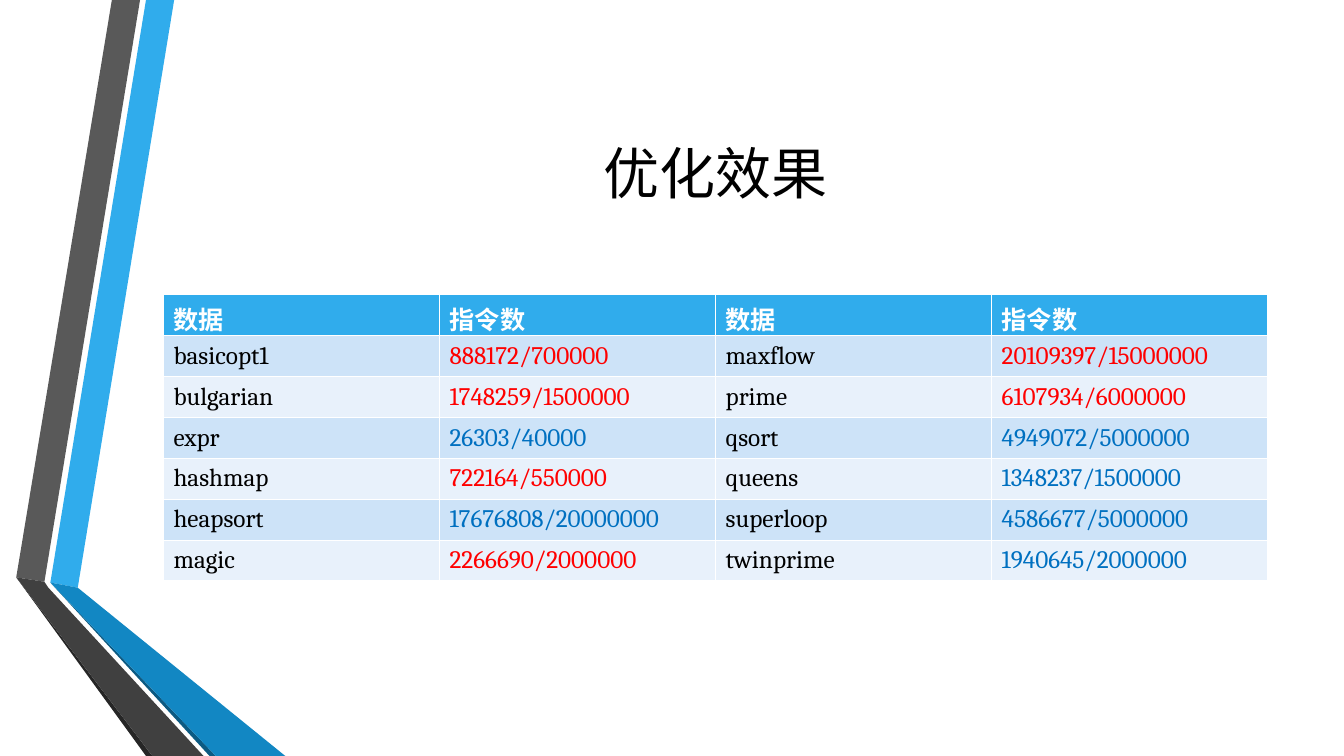
from dataclasses import dataclass

from pptx import Presentation
from pptx.dml.color import RGBColor as RGB
from pptx.enum.lang import MSO_LANGUAGE_ID as Lang
from pptx.enum.text import MSO_ANCHOR as Anchor, PP_ALIGN as Align
from pptx.util import Cm, Pt

WIDTH, HEIGHT = 33.87, 19.05
KNEE = 14.68

RIBBONS = [
    ("30ACEC", [(1.27, KNEE), (1.96, 14.81), (4.39, 0), (3.68, 0)]),
    ("595959", [(3.53, 0), (2.82, 0), (0.41, 14.55), (1.12, 14.66)]),
    ("262626", [(0.41, 14.55), (3.68, HEIGHT), (3.84, HEIGHT)]),
    ("0C5A82", [(1.27, KNEE), (5.28, HEIGHT), (5.44, HEIGHT)]),
    ("1287C3", [(1.27, KNEE), (5.44, HEIGHT), (7.19, HEIGHT), (1.96, 14.81)]),
    ("404040", [(5.13, HEIGHT), (1.22, 14.81), (1.12, 14.66), (0.41, 14.55), (3.84, HEIGHT)]),
]

HEADER = ["数据", "指令数"] * 2
RESULTS = [
    ("basicopt1", 888172, 700000, "maxflow", 20109397, 15000000),
    ("bulgarian", 1748259, 1500000, "prime", 6107934, 6000000),
    ("expr", 26303, 40000, "qsort", 4949072, 5000000),
    ("hashmap", 722164, 550000, "queens", 1348237, 1500000),
    ("heapsort", 17676808, 20000000, "superloop", 4586677, 5000000),
    ("magic", 2266690, 2000000, "twinprime", 1940645, 2000000),
]


@dataclass(frozen=True)
class Theme:
    """Colours, font and type sizes of the slide."""
    font: str = "Cambria"
    title_size: int = 40
    table_size: int = 18
    text: str = "000000"
    header_text: str = "FFFFFF"
    header_fill: str = "30ACEC"
    bands: tuple = ("CDE3F8", "E8F1FB")
    over_limit: str = "FF0000"
    within_limit: str = "0070C0"


class SlideBuilder:
    """Draws styled elements on the current slide."""

    def __init__(self, slide, theme):
        self.slide, self.theme = slide, theme

    def label(self, frame, text, size, color, bold=False, align=Align.LEFT):
        """Put one formatted paragraph into a text frame."""
        paragraph = frame.paragraphs[0]
        paragraph.alignment = align
        run = paragraph.add_run()
        run.text = text
        formats = {"name": self.theme.font, "size": Pt(size), "bold": bold,
                   "language_id": Lang.SIMPLIFIED_CHINESE}
        for attribute, value in formats.items():
            setattr(run.font, attribute, value)
        run.font.color.rgb = RGB.from_string(color)

    def ribbon(self, color, corners):
        """Draw a filled polygon from corners in centimetres."""
        start, *others = [(Cm(x), Cm(y)) for x, y in corners]
        builder = self.slide.shapes.build_freeform(*start)
        builder.add_line_segments(others, close=True)
        band = builder.convert_to_shape()
        band.shadow.inherit = False
        band.fill.solid()
        band.fill.fore_color.rgb = RGB.from_string(color)
        band.line.fill.background()

    def title(self, text, left, top, width, height):
        """Add the centred heading."""
        frame = self.slide.shapes.add_textbox(Cm(left), Cm(top), Cm(width), Cm(height)).text_frame
        for attribute, value in {"word_wrap": True, "vertical_anchor": Anchor.MIDDLE}.items():
            setattr(frame, attribute, value)
        self.label(frame, text, self.theme.title_size, self.theme.text, align=Align.CENTER)

    def cell(self, cell, text, fill, color, bold=False):
        """Fill and label one table cell."""
        cell.vertical_anchor = Anchor.MIDDLE
        cell.fill.solid()
        cell.fill.fore_color.rgb = RGB.from_string(fill)
        self.label(cell.text_frame, text, self.theme.table_size, color, bold)

    def results(self, header, results, left, top, width, row_height):
        """Add the table, colouring each count by whether it exceeds its limit."""
        theme = self.theme
        row_count = len(results) + 1
        table = self.slide.shapes.add_table(row_count, len(header), Cm(left), Cm(top),
                                            Cm(width), Cm(row_height * row_count)).table
        for column, heading in enumerate(header):
            self.cell(table.cell(0, column), heading, theme.header_fill, theme.header_text, True)
        for row, result in enumerate(results, 1):
            fill = theme.bands[(row - 1) % 2]
            for pair in range(2):
                program, count, limit = result[pair * 3:pair * 3 + 3]
                color = theme.over_limit if count > limit else theme.within_limit
                self.cell(table.cell(row, pair * 2), program, fill, theme.text)
                self.cell(table.cell(row, pair * 2 + 1), f"{count}/{limit}", fill, color)


def main():
    """Build and save the presentation."""
    deck = Presentation()
    deck.slide_width, deck.slide_height = Cm(WIDTH), Cm(HEIGHT)
    builder = SlideBuilder(deck.slides.add_slide(deck.slide_layouts[6]), Theme())
    for color, corners in RIBBONS:
        builder.ribbon(color, corners)
    builder.title("优化效果", 4.12, 1.91, 27.83, 4.87)
    builder.results(HEADER, RESULTS, 4.12, 7.43, 27.83, 1.03)
    deck.save("out.pptx")


if __name__ == "__main__":
    main()
